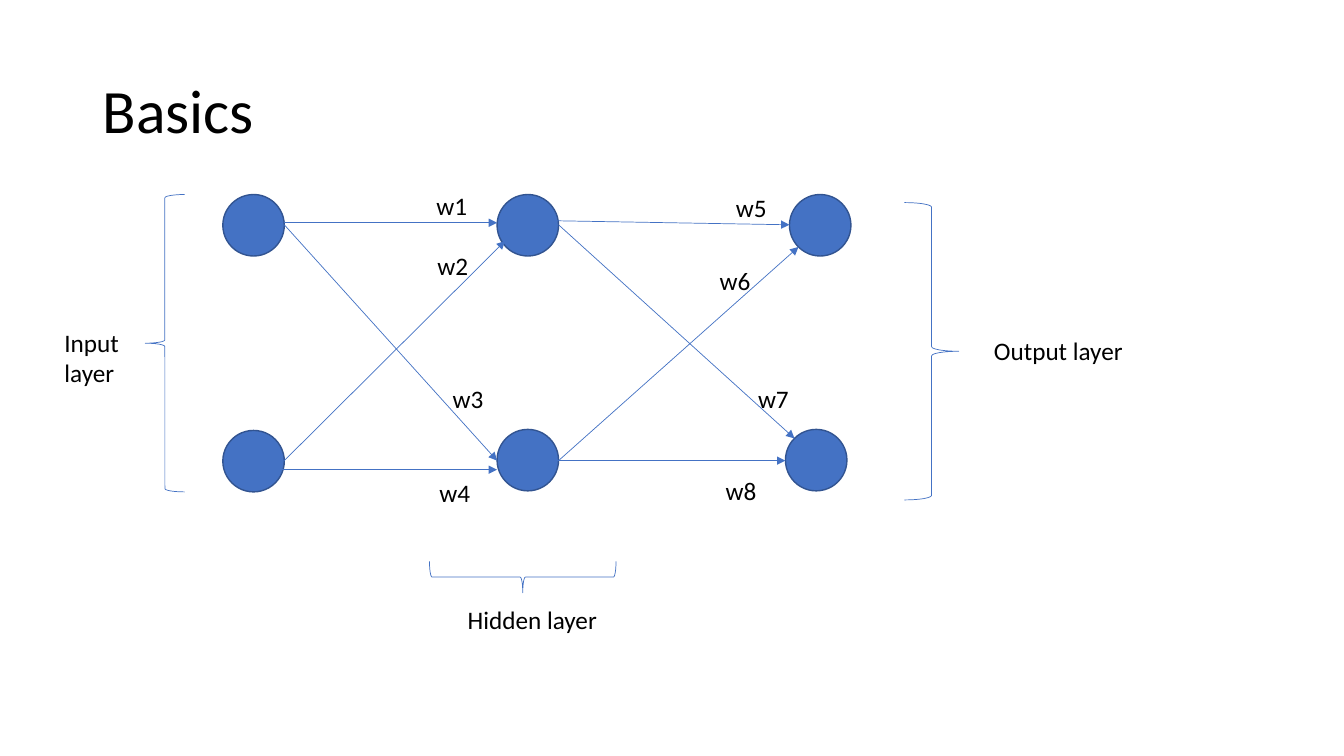
from pptx import Presentation
from pptx.dml.color import RGBColor
from pptx.enum.shapes import MSO_CONNECTOR, MSO_SHAPE
from pptx.enum.text import MSO_ANCHOR, MSO_AUTO_SIZE
from pptx.oxml.ns import qn
from pptx.util import Inches, Pt
from lxml.etree import SubElement

COLORS = {"blue": "4472C4", "outline": "325491", "text": "000000"}
FONT = "Calibri"
NODE_SIZE = 0.61

# Positions inside the network, in inches from its top left corner
NODES = [(0, 0), (0, 2.34), (2.72, 0), (2.72, 2.33), (5.62, 0), (5.58, 2.33)]
# Weight name, arrow start, arrow end, label position, label width
WEIGHTS = [
    ("w1", (0.61, 0.28), (2.72, 0.28), (2.02, -0.09), 0.53),
    ("w2", (0.61, 2.64), (2.80, 0.46), (2.03, 0.50), 0.79),
    ("w3", (0.61, 0.30), (2.72, 2.64), (2.18, 1.82), 0.52),
    ("w4", (0.49, 2.73), (2.72, 2.73), (2.05, 2.76), 0.64),
    ("w5", (3.28, 0.26), (5.62, 0.30), (4.99, -0.07), 0.55),
    ("w6", (3.33, 2.64), (5.71, 0.52), (4.83, 0.65), 0.60),
    ("w7", (3.33, 0.30), (5.67, 2.42), (5.21, 1.82), 0.63),
    ("w8", (3.26, 2.64), (5.58, 2.64), (4.89, 2.74), 0.54),
]
# Brace shape, brace box, rotation, label, label box
LAYERS = [
    (MSO_SHAPE.LEFT_BRACE, (1.44, 1.93, 0.39, 2.95), 0,
     "Input\nlayer", (0.54, 3.2, 0.75, 0.71)),
    (MSO_SHAPE.RIGHT_BRACE, (8.97, 2.01, 0.54, 2.95), 0,
     "Output layer", (9.76, 3.28, 1.78, 0.4)),
    (MSO_SHAPE.LEFT_BRACE, (5.03, 4.8, 0.31, 1.85), 270,
     "Hidden layer", (4.54, 5.95, 1.55, 0.4)),
]


def color(name):
    return RGBColor.from_string(COLORS[name])


def inches(values):
    return [Inches(value) for value in values]


def add_text(slide, box, text, size=18):
    text_frame = slide.shapes.add_textbox(*inches(box)).text_frame
    text_frame.word_wrap = True
    text_frame.text = text
    for paragraph in text_frame.paragraphs:
        for run in paragraph.runs:
            run.font.name = FONT
            run.font.size = Pt(size)
            run.font.color.rgb = color("text")
    return text_frame


def add_label(slide, box, text):
    add_text(slide, box, text).auto_size = MSO_AUTO_SIZE.SHAPE_TO_FIT_TEXT


def add_title(slide, box, text):
    text_frame = add_text(slide, box, text, size=44)
    text_frame.vertical_anchor = MSO_ANCHOR.MIDDLE
    text_frame.paragraphs[0].line_spacing = 0.9


def add_node(slide, left, top):
    node = slide.shapes.add_shape(MSO_SHAPE.FLOWCHART_CONNECTOR,
                                  *inches((left, top, NODE_SIZE, NODE_SIZE)))
    node.shadow.inherit = False
    node.fill.solid()
    node.fill.fore_color.rgb = color("blue")
    node.line.color.rgb = color("outline")
    node.line.width = Pt(1)


def add_arrow(slide, start, end):
    arrow = slide.shapes.add_connector(MSO_CONNECTOR.STRAIGHT, *inches(start + end))
    arrow.line.color.rgb = color("blue")
    arrow.line.width = Pt(0.5)
    SubElement(arrow.line._get_or_add_ln(), qn("a:tailEnd"), type="triangle")
    SubElement(arrow._element.spPr, qn("a:effectLst"))


def add_network(slide, left, top):
    """Draw the nodes, then the weighted arrows with their names."""
    def place(point):
        return left + point[0], top + point[1]

    for node in NODES:
        add_node(slide, *place(node))
    for name, start, end, label, width in WEIGHTS:
        add_arrow(slide, place(start), place(end))
        add_label(slide, (*place(label), width, 0.4), name)


def add_layer(slide, brace_shape, brace_box, rotation, label, label_box):
    brace = slide.shapes.add_shape(brace_shape, *inches(brace_box))
    brace.shadow.inherit = False
    brace.rotation = rotation
    brace.fill.background()
    brace.line.color.rgb = color("blue")
    brace.line.width = Pt(0.5)
    add_label(slide, label_box, label)


def main():
    presentation = Presentation()
    presentation.slide_width = Inches(13.33)
    presentation.slide_height = Inches(7.5)
    slide = presentation.slides.add_slide(presentation.slide_layouts[6])
    add_title(slide, (0.92, 0.4, 11.5, 1.45), "Basics")
    add_network(slide, 2.21, 1.93)
    for layer in LAYERS:
        add_layer(slide, *layer)
    presentation.save("out.pptx")


if __name__ == "__main__":
    main()
